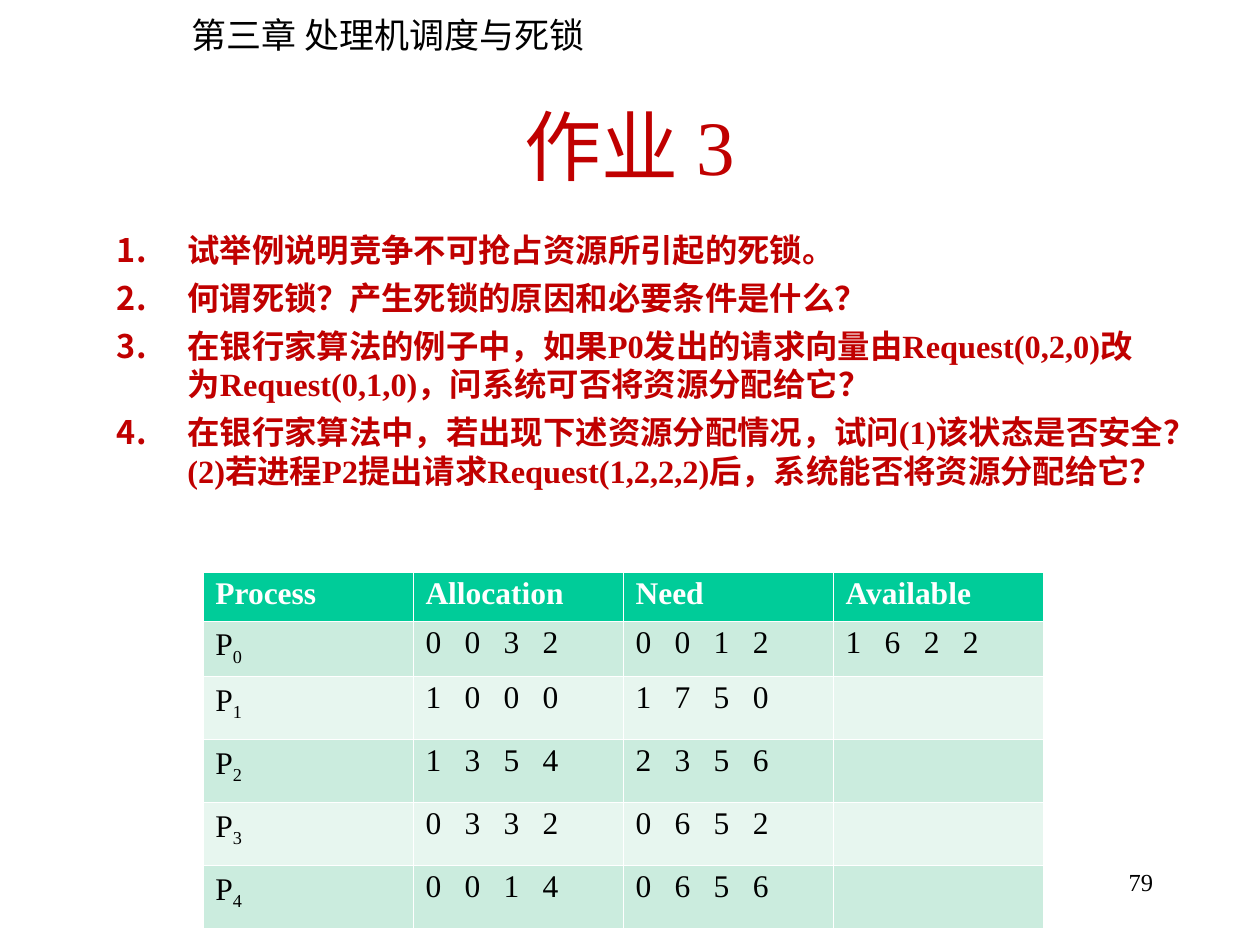
import lxml.etree
import pptx
import pptx.dml.color
import pptx.enum.text
import pptx.oxml.ns
import pptx.util

Inches = pptx.util.Inches
Align = pptx.enum.text.PP_ALIGN
Anchor = pptx.enum.text.MSO_ANCHOR
qn = pptx.oxml.ns.qn
LATIN, CHINESE = "Times New Roman", "Noto Sans CJK JP"
RED, BLACK, WHITE = "C00000", "000000", "FFFFFF"


def add_run(paragraph, text, size, color, bold=False, latin=LATIN):
    run = paragraph.add_run()
    run.text = text
    run.font.size = pptx.util.Pt(size)
    run.font.bold = bold
    run.font.name = latin
    run.font.color.rgb = pptx.dml.color.RGBColor.from_string(color)
    lxml.etree.SubElement(run.font._element, qn("a:ea"), typeface=CHINESE)
    return run


def add_text_frame(left, top, width, height, wrap=True):
    box = slide.shapes.add_textbox(Inches(left), Inches(top), Inches(width), Inches(height))
    box.text_frame.word_wrap = wrap
    return box.text_frame


presentation = pptx.Presentation()
presentation.slide_width = Inches(10)
presentation.slide_height = Inches(7.5)
slide = presentation.slides.add_slide(presentation.slide_layouts[6])

# Chapter header
frame = add_text_frame(1.42, 0.06, 3.38, 0.44, wrap=False)
add_run(frame.paragraphs[0], "第三章 处理机调度与死锁", 20, BLACK, latin=CHINESE)

# Title
frame = add_text_frame(0.75, 0.67, 8.5, 0.96)
frame.vertical_anchor = Anchor.MIDDLE
frame.paragraphs[0].alignment = Align.CENTER
add_run(frame.paragraphs[0], "作业 3", 44, RED)

# Numbered questions
questions = [
    "试举例说明竞争不可抢占资源所引起的死锁。",
    "何谓死锁？产生死锁的原因和必要条件是什么？",
    "在银行家算法的例子中，如果P0发出的请求向量由Request(0,2,0)改为Request(0,1,0)，问系统可否将资源分配给它？",
    "在银行家算法中，若出现下述资源分配情况，试问(1)该状态是否安全？(2)若进程P2提出请求Request(1,2,2,2)后，系统能否将资源分配给它？",
]
frame = add_text_frame(0.83, 1.78, 8.5, 2.68)
for index, question in enumerate(questions):
    paragraph = frame.paragraphs[0] if index == 0 else frame.add_paragraph()
    if index > 0:
        paragraph.space_before = pptx.util.Pt(5)
    properties = paragraph._p.get_or_add_pPr()
    properties.set("marL", str(Inches(0.56)))
    properties.set("indent", str(-Inches(0.56)))
    bullet_color = lxml.etree.SubElement(properties, qn("a:buClr"))
    lxml.etree.SubElement(bullet_color, qn("a:srgbClr"), val=RED)
    lxml.etree.SubElement(properties, qn("a:buFont"), typeface=CHINESE)
    lxml.etree.SubElement(properties, qn("a:buAutoNum"), type="arabicPeriod")
    add_run(paragraph, question, 18.5, RED, bold=True)

# Slide number
frame = add_text_frame(7.17, 6.83, 2.08, 0.5)
frame.paragraphs[0].alignment = Align.RIGHT
add_run(frame.paragraphs[0], "79", 14, BLACK)

# Resource allocation table
rows = [
    ["Process", "Allocation", "Need", "Available"],
    ["P0", "0032", "0012", "1622"],
    ["P1", "1000", "1750", ""],
    ["P2", "1354", "2356", ""],
    ["P3", "0332", "0652", ""],
    ["P4", "0014", "0656", ""],
]
row_heights = [0.39, 0.44] + [0.5] * 4
table = slide.shapes.add_table(
    len(rows), 4, Inches(1.61), Inches(4.54), Inches(6.67), Inches(sum(row_heights))
).table
for column in table.columns:
    column.width = Inches(6.67 / 4)

for row_index, row in enumerate(rows):
    table.rows[row_index].height = Inches(row_heights[row_index])
    is_header = row_index == 0
    fill_color = "00CC99" if is_header else ("E7F6EF", "CBECDE")[row_index % 2]
    for column_index, text in enumerate(row):
        cell = table.cell(row_index, column_index)

        # White borders, heavier below the header
        cell_properties = cell._tc.get_or_add_tcPr()
        for side in ("L", "R", "T", "B"):
            heavy = (row_index, side) in ((0, "B"), (1, "T"))
            width = pptx.util.Pt(0.75 if heavy else 0.23)
            border = lxml.etree.SubElement(cell_properties, qn(f"a:ln{side}"), w=str(width))
            border_fill = lxml.etree.SubElement(border, qn("a:solidFill"))
            lxml.etree.SubElement(border_fill, qn("a:srgbClr"), val=WHITE)
        cell.fill.solid()
        cell.fill.fore_color.rgb = pptx.dml.color.RGBColor.from_string(fill_color)

        paragraph = cell.text_frame.paragraphs[0]
        paragraph.line_spacing = 0.92
        if is_header:
            add_run(paragraph, text, 18, WHITE, bold=True)
        elif column_index == 0:
            add_run(paragraph, text[0], 18, BLACK)
            subscript = add_run(paragraph, text[1], 18, BLACK)
            subscript.font._element.set("baseline", "-25000")
        elif text:
            # Evenly spaced vector entries on tab stops
            tab_list = lxml.etree.SubElement(paragraph._p.get_or_add_pPr(), qn("a:tabLst"))
            for stop in range(1, len(text)):
                position = str(Inches(0.31 * stop))
                lxml.etree.SubElement(tab_list, qn("a:tab"), pos=position, algn="l")
            add_run(paragraph, "\t".join(text), 18, BLACK)

presentation.save("out.pptx")
